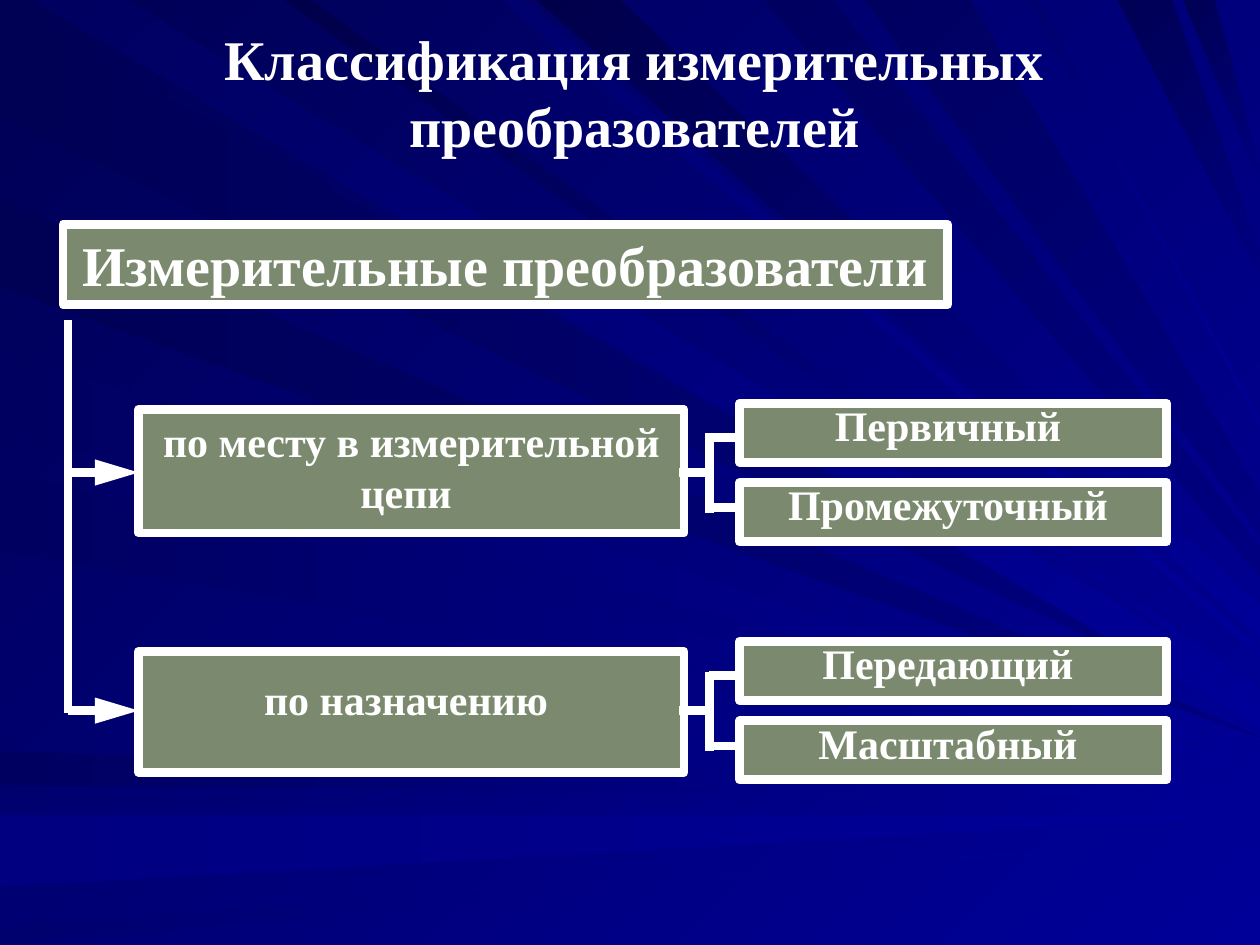
from lxml.etree import SubElement
from pptx import Presentation
from pptx.dml.color import RGBColor
from pptx.enum.shapes import MSO_CONNECTOR, MSO_SHAPE
from pptx.enum.text import MSO_ANCHOR, PP_ALIGN
from pptx.oxml.ns import qn
from pptx.util import Inches, Pt

# Grid of 1000 columns by 750 rows; every length below counts its cells.
COLUMNS, ROWS = 1000, 750
CELL = Inches(0.01)
FONT = "Times New Roman"
LINE_WIDTH = Pt(5)

COLORS = {
    "white": "FFFFFF", "olive": "7B8A6E",
    "night": "00004A", "dark": "000055", "dusk": "000061",
    "deep": "00006F", "navy": "000080", "royal": "000099",
}

# Each ray widens at one edge and meets the right edge at its tip row:
# start of base, end of base, tip row, start colour, end colour.
LEFT_RAYS = [
    (2, 93, 570, "dark", "navy"),
    (596, 623, 632, "dusk", "royal"),
    (647, 704, 647, "navy", "royal"),
    (735, 750, 662, "deep", "royal"),
    (159, 228, 585, "dark", "navy"),
    (278, 342, 600, "dusk", "royal"),
    (374, 437, 606, "dusk", "royal"),
]
TOP_RAYS = [
    (26, 101, 563, "dusk", "royal"),
    (398, 416, 518, "deep", "royal"),
    (426, 492, 493, "night", "royal"),
    (606, 661, 446, "dusk", "navy"),
    (887, 930, 210, "dark", "navy"),
    (939, 964, 140, "dark", "navy"),
    (225, 247, 550, "night", "royal"),
    (686, 770, 409, "dusk", "navy"),
    (815, 824, 336, "deep", "royal"),
]

SPINE_X, CATEGORY_X, CATEGORY_WIDTH = 54, 110, 433
BRACKET_X, LEAF_X, LEAF_WIDTH, LEAF_HEIGHT = 563, 587, 339, 47
# Axis row, box top, box height, top inset, line spacing, criterion, its kinds.
CATEGORIES = [
    (375, 325, 98, 5, 1.0, "по месту в измерительной цепи ", ("Первичный ", "Промежуточный ")),
    (564, 517, 96, 25, 0.8, "по назначению ", ("Передающий ", "Масштабный ")),
]


def rgb(name):
    return RGBColor.from_string(COLORS[name])


def fill_gradient(fill, start, end, angle):
    """Fill from start to end; the angle runs clockwise."""
    fill.gradient()
    fill.gradient_angle = 360 - angle
    for stop, color in zip(fill.gradient_stops, (start, end)):
        stop.color.rgb = rgb(color)


def add_ray(group, base, tip, start, end, angle):
    outline = group.shapes.build_freeform(*base[0], scale=CELL)
    outline.add_line_segments([base[1], *tip], close=True)
    ray = outline.convert_to_shape()
    ray.shadow.inherit = False
    fill_gradient(ray.fill, start, end, angle)
    ray.line.fill.background()


def add_rays(slide):
    group = slide.shapes.add_group_shape()
    for first, last, row, start, end in LEFT_RAYS:
        add_ray(group, [(0, first), (0, last)], [(COLUMNS, row)], start, end, 0)
    for first, last, row, start, end in TOP_RAYS:
        spread = (last - first) // 5
        tip = [(COLUMNS, row - spread), (COLUMNS, row + spread)]
        add_ray(group, [(first, 0), (last, 0)], tip, start, end, 45)


def write(frame, wording, size, spacing=1.0):
    frame.word_wrap = True
    frame.text = wording
    paragraph = frame.paragraphs[0]
    paragraph.alignment = PP_ALIGN.CENTER
    paragraph.line_spacing = spacing
    font = paragraph.runs[0].font
    font.name, font.size, font.bold = FONT, Pt(size), True
    font.color.rgb = rgb("white")


def place_title(slide, wording):
    title = slide.shapes.title
    title.left, title.top, title.width, title.height = (n * CELL for n in (27, 14, 953, 117))
    title.text_frame.vertical_anchor = MSO_ANCHOR.MIDDLE
    write(title.text_frame, wording, 32)
    slide.shapes._spTree.append(title._element)  # bring in front of the rays


def add_box(slide, place, wording, size=24, spacing=0.8, inset=5):
    box = slide.shapes.add_shape(MSO_SHAPE.RECTANGLE, *(n * CELL for n in place))
    box.shadow.inherit = False
    box.fill.solid()
    box.fill.fore_color.rgb = rgb("olive")
    box.line.color.rgb = rgb("white")
    box.line.width = LINE_WIDTH
    box.text_frame.vertical_anchor = MSO_ANCHOR.TOP
    box.text_frame.margin_top = inset * CELL
    write(box.text_frame, wording, size, spacing)


def add_link(slide, x1, y1, x2, y2, arrow=False):
    link = slide.shapes.add_connector(
        MSO_CONNECTOR.STRAIGHT, *(n * CELL for n in (x1, y1, x2, y2)))
    link.line.color.rgb = rgb("white")
    link.line.width = LINE_WIDTH
    if arrow:
        SubElement(link.line._get_or_add_ln(), qn("a:tailEnd"),
                   type="triangle", w="med", len="lg")
    SubElement(link._element.spPr, qn("a:effectLst"))


def add_category(slide, axis, top, height, inset, spacing, criterion, kinds):
    """Draw a criterion with its arrow, its bracket and its kinds."""
    add_box(slide, (CATEGORY_X, top, CATEGORY_WIDTH, height), criterion,
            spacing=spacing, inset=inset)
    add_link(slide, SPINE_X, axis, CATEGORY_X, axis, arrow=True)
    for kind, leaf_top, branch in zip(kinds, (axis - 55, axis + 8), (axis - 28, axis + 28)):
        add_box(slide, (LEAF_X, leaf_top, LEAF_WIDTH, LEAF_HEIGHT), kind)
        add_link(slide, BRACKET_X, branch, LEAF_X, branch)
    add_link(slide, BRACKET_X, axis - 31, BRACKET_X, axis + 32)
    add_link(slide, 539, axis, BRACKET_X, axis)


def main():
    deck = Presentation()
    deck.slide_width, deck.slide_height = COLUMNS * CELL, ROWS * CELL
    slide = deck.slides.add_slide(deck.slide_layouts[5])
    fill_gradient(slide.background.fill, "dark", "royal", 45)
    add_rays(slide)
    place_title(slide, "Классификация измерительных преобразователей")
    add_box(slide, (50, 178, 702, 64), "Измерительные преобразователи ", size=32, spacing=1.0)
    add_link(slide, SPINE_X, 254, SPINE_X, 566)
    for category in CATEGORIES:
        add_category(slide, *category)
    deck.save("out.pptx")


if __name__ == "__main__":
    main()
